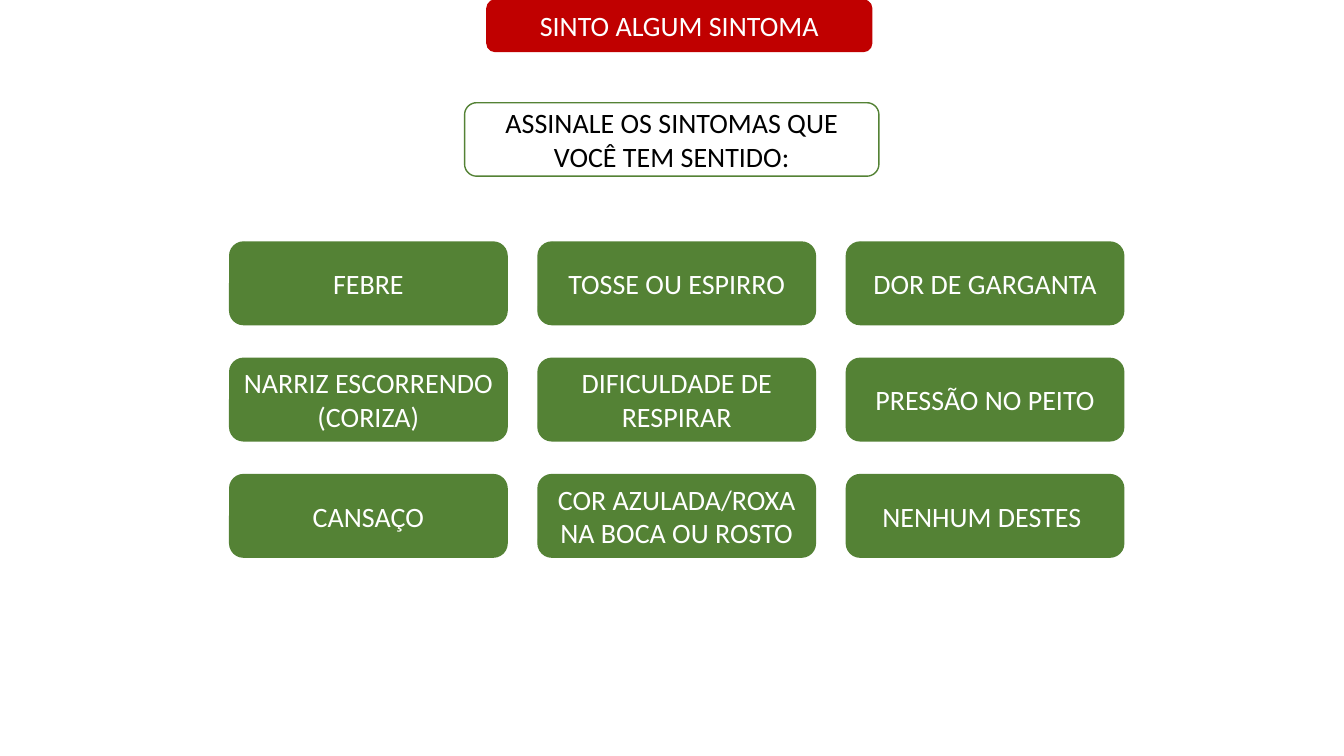
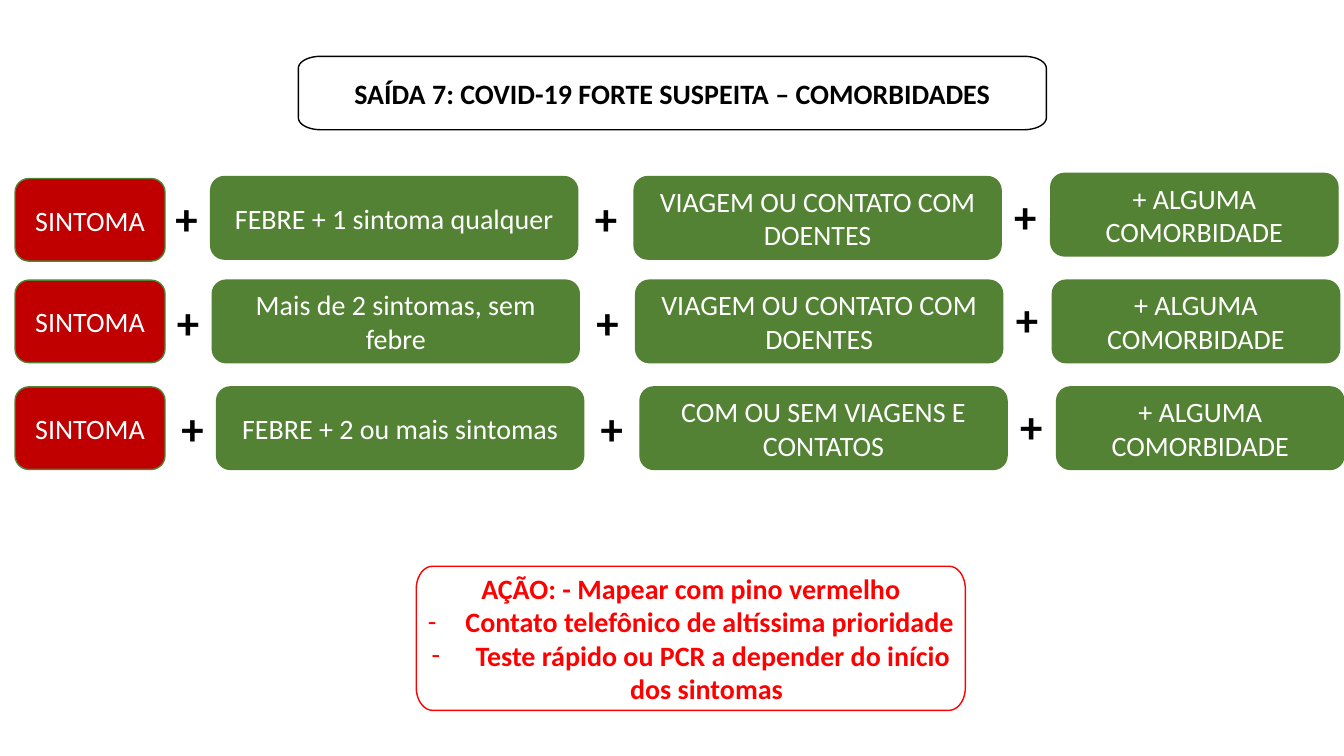
"""Build two slides of a symptom triage flow."""
import math

from lxml import etree
from pptx import Presentation
from pptx.dml.color import RGBColor
from pptx.enum import shapes, text
from pptx.oxml import ns
from pptx.util import Cm, Pt

WHITE = RGBColor(0xFF, 0xFF, 0xFF)
BLACK = RGBColor(0, 0, 0)
GREEN = RGBColor(0x54, 0x82, 0x35)
DARK_RED = RGBColor(0xC0, 0, 0)
RED = RGBColor(0xFF, 0, 0)
FONT = "Calibri"
BOX_HEIGHT = 2.08
BULLET_INDENT = Cm(0.95)

SYMPTOMS = [
    ["FEBRE", "TOSSE OU ESPIRRO", "DOR DE GARGANTA"],
    ["NARRIZ ESCORRENDO (CORIZA)", "DIFICULDADE DE RESPIRAR", "PRESSÃO NO PEITO"],
    ["CANSAÇO", "COR AZULADA/ROXA NA BOCA OU ROSTO", "NENHUM DESTES "],
]
TRAVEL = "VIAGEM OU CONTATO COM DOENTES"
RULES = [
    (4.45, 0, 0.05, -0.08, "FEBRE + 1 sintoma qualquer", TRAVEL),
    (7.06, 0.04, 0, 0, "Mais de 2 sintomas, sem febre", TRAVEL),
    (9.75, 0.15, 0, 0, "FEBRE + 2 ou mais sintomas", "COM OU SEM VIAGENS E CONTATOS"),
]


def add_run(p, content, color, size=20, bold=False):
    """Add one styled run to a paragraph."""
    r = p.add_run()
    r.text = content
    r.font.name = FONT
    r.font.size = Pt(size)
    r.font.bold = bold
    r.font.color.rgb = color


def add_bullet(p):
    """Give a paragraph a hanging dash."""
    pPr = p._p.get_or_add_pPr()
    pPr.set("marL", str(BULLET_INDENT))
    pPr.set("indent", str(-BULLET_INDENT))
    etree.SubElement(pPr, ns.qn("a:buFont")).set("typeface", FONT)
    etree.SubElement(pPr, ns.qn("a:buChar")).set("char", "-")


def style_shape(sp, lines, fill, line, color, bold=False):
    """Paint a shape and centre its text, with dashes after the first line."""
    sp.shadow.inherit = False
    sp.fill.solid()
    sp.fill.fore_color.rgb = fill
    sp.line.color.rgb = line
    sp.line.width = Pt(1)
    tf = sp.text_frame
    tf.word_wrap = True
    tf.vertical_anchor = text.MSO_ANCHOR.MIDDLE
    for i, content in enumerate(lines):
        p = tf.add_paragraph() if i else tf.paragraphs[0]
        p.alignment = text.PP_ALIGN.CENTER
        if i:
            add_bullet(p)
        add_run(p, content, color, bold=bold)


def add_box(s, left, top, width, content, fill=GREEN, line=GREEN, height=BOX_HEIGHT):
    """Add a filled box with white text."""
    sp = s.shapes.add_shape(shapes.MSO_SHAPE.FLOWCHART_ALTERNATE_PROCESS,
                            Cm(left), Cm(top), Cm(width), Cm(height))
    style_shape(sp, [content], fill, line, WHITE)


def add_frame(s, left, top, width, height, rx, ry, lines, line, color, bold=True):
    """Add a white outlined frame with elliptical corners."""
    right, bottom = left + width, top + height
    centres = [(right - rx, bottom - ry), (left + rx, bottom - ry),
               (left + rx, top + ry), (right - rx, top + ry)]
    points = []
    for corner, (cx, cy) in enumerate(centres):
        for step in range(0, 91, 10):
            angle = math.radians(90 * corner + step)
            points.append((Cm(cx + rx * math.cos(angle)), Cm(cy + ry * math.sin(angle))))
    builder = s.shapes.build_freeform(*points[0])
    builder.add_line_segments(points[1:], close=True)
    style_shape(builder.convert_to_shape(), lines, WHITE, line, color, bold)


def add_plus(s, left, top):
    """Add a bold plus sign."""
    sp = s.shapes.add_textbox(Cm(left), Cm(top), Cm(1.09), Cm(1.63))
    tf = sp.text_frame
    tf.word_wrap = False
    tf.auto_size = text.MSO_AUTO_SIZE.SHAPE_TO_FIT_TEXT
    add_run(tf.paragraphs[0], "+", BLACK, size=32, bold=True)


def add_rule(s, top, shift, first_drop, last_drop, symptoms, contact):
    """Add one row of conditions joined by plus signs."""
    add_box(s, 0.38, top + first_drop, 3.78, "SINTOMA", fill=DARK_RED)
    add_box(s, 5.31 + shift, top, 9.25, symptoms)
    add_box(s, 15.98 + shift, top, 9.25, contact)
    add_box(s, 26.48 + shift, top + last_drop, 7.24, "+ ALGUMA COMORBIDADE")
    for i in range(3):
        add_plus(s, 4.17 + 10.57 * i + shift, top + (0.17 if i == 2 else 0.23))


def build_symptoms(s):
    """Draw the symptom checklist."""
    add_frame(s, 11.71, 2.59, 10.44, 1.85, 0.3, 0.3,
              ["ASSINALE OS SINTOMAS QUE VOCÊ TEM SENTIDO:"], GREEN, BLACK, bold=False)
    add_box(s, 12.27, 0, 9.7, "SINTO ALGUM SINTOMA", DARK_RED, DARK_RED, height=1.3)
    for row, names in enumerate(SYMPTOMS):
        for col, name in enumerate(names):
            add_box(s, 5.79 + 7.77 * col, 6.1 + 2.93 * row, 6.99, name)


def build_outcome(s):
    """Draw the strong suspicion outcome."""
    add_frame(s, 7.52, 1.42, 18.85, 1.85, 0.56, 0.3,
              ["SAÍDA 7: COVID-19 FORTE SUSPEITA – COMORBIDADES"], BLACK, BLACK)
    for rule in RULES:
        add_rule(s, *rule)
    add_frame(s, 10.49, 14.27, 13.84, 3.63, 0.41, 0.58,
              ["AÇÃO: - Mapear com pino vermelho",
               "Contato telefônico de altíssima prioridade",
               " Teste rápido ou PCR a depender do início dos sintomas "], RED, RED)


def main():
    """Build and save the presentation."""
    prs = Presentation()
    prs.slide_width, prs.slide_height = Cm(33.87), Cm(19.05)
    for build in (build_symptoms, build_outcome):
        build(prs.slides.add_slide(prs.slide_layouts[6]))
    prs.save("out.pptx")


if __name__ == "__main__":
    main()
